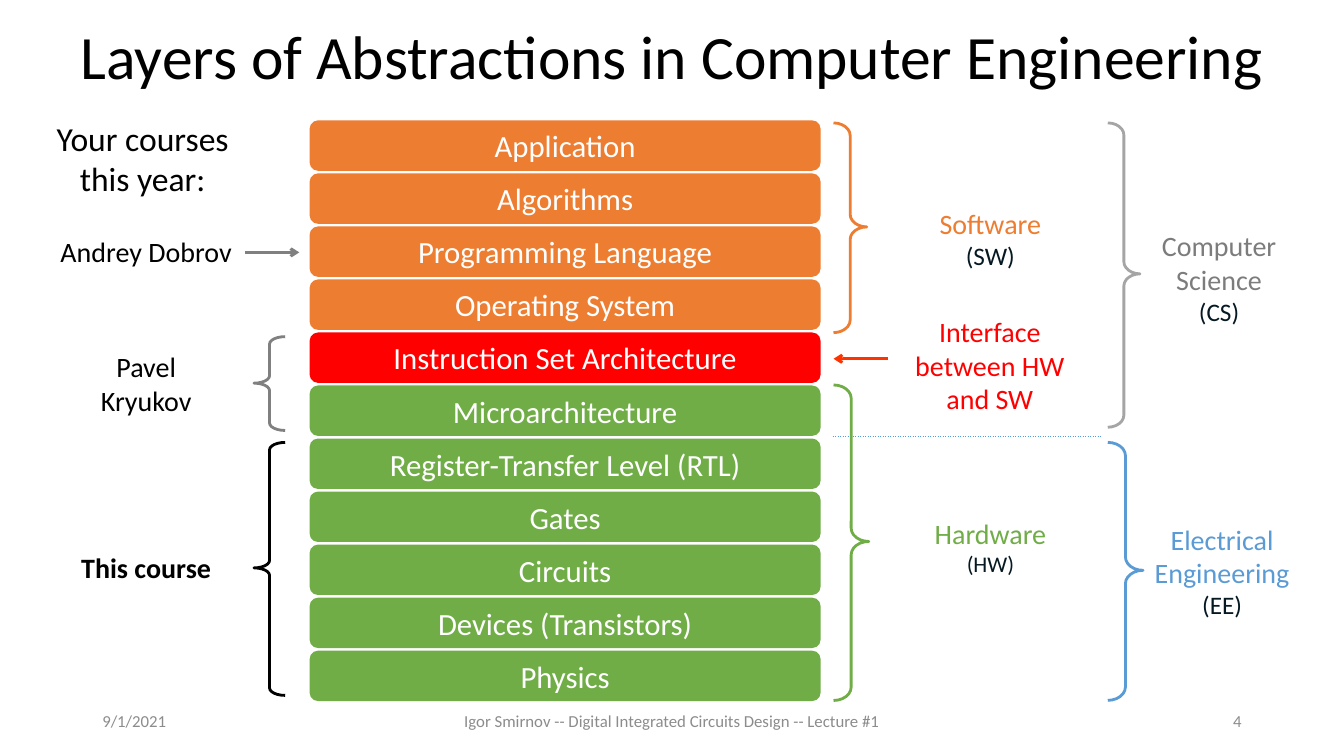
import pptx
import pptx.dml.color
import pptx.enum.dml
import pptx.enum.shapes
import pptx.enum.text
import pptx.oxml
import pptx.oxml.ns
import pptx.util

Pt = pptx.util.Pt
MSO = pptx.enum.shapes.MSO_SHAPE
ALIGN = pptx.enum.text.PP_ALIGN
MIDDLE = pptx.enum.text.MSO_ANCHOR.MIDDLE

ORANGE, RED, GREEN, BLUE = "ED7D31", "FF0000", "70AD47", "5B9BD5"
BLACK, WHITE, GRAY, INK = "000000", "FFFFFF", "808080", "061922"
SILVER, SLATE, FOOTER = "A5A5A5", "7C7C7C", "8C8C8C"


def rgb(value):
    return pptx.dml.color.RGBColor.from_string(value)


class Deck:
    font = "Calibri"
    line_width = 2

    def __init__(self, width, height):
        self.prs = pptx.Presentation()
        self.prs.slide_width = Pt(width)
        self.prs.slide_height = Pt(height)
        self.slide = self.prs.slides.add_slide(self.prs.slide_layouts[5])

    def format_run(self, r, size, color, bold=False):
        r.font.name = self.font
        r.font.size = Pt(size)
        r.font.bold = bold
        r.font.color.rgb = rgb(color)

    def title(self, text, x, y, w, h):
        sp = self.slide.shapes.title
        sp.left, sp.top, sp.width, sp.height = Pt(x), Pt(y), Pt(w), Pt(h)
        tf = sp.text_frame
        tf.text = text
        tf.vertical_anchor = MIDDLE
        p = tf.paragraphs[0]
        p.alignment = ALIGN.CENTER
        p.line_spacing = 0.9
        self.format_run(p.runs[0], 44, BLACK)

    def text(self, paragraphs, x, y, w, h, align=ALIGN.CENTER, anchor=None, bold=False):
        tf = self.slide.shapes.add_textbox(Pt(x), Pt(y), Pt(w), Pt(h)).text_frame
        tf.word_wrap = True
        tf.vertical_anchor = anchor
        for i, parts in enumerate(paragraphs):
            p = tf.add_paragraph() if i else tf.paragraphs[0]
            p.alignment = align
            for text, size, color in parts:
                for j, row in enumerate(text.split("\n")):
                    if j:
                        p.add_line_break()
                    r = p.add_run()
                    r.text = row
                    self.format_run(r, size, color, bold)

    def box(self, text, fill, x, y, w, h):
        sp = self.slide.shapes.add_shape(MSO.ROUNDED_RECTANGLE, Pt(x), Pt(y), Pt(w), Pt(h))
        sp.shadow.inherit = False
        sp.fill.solid()
        sp.fill.fore_color.rgb = rgb(fill)
        sp.line.fill.background()
        tf = sp.text_frame
        tf.text = text
        tf.word_wrap = False
        tf.vertical_anchor = MIDDLE
        p = tf.paragraphs[0]
        p.alignment = ALIGN.CENTER
        self.format_run(p.runs[0], 22, WHITE)

    def brace(self, kind, color, curve, x, y, w, h):
        sp = self.slide.shapes.add_shape(kind, Pt(x), Pt(y), Pt(w), Pt(h))
        sp.shadow.inherit = False
        sp.fill.background()
        sp.line.color.rgb = rgb(color)
        sp.line.width = Pt(self.line_width)
        sp.adjustments[0] = curve
        sp.adjustments[1] = 0.496

    def line(self, color, x1, x2, y):
        straight = pptx.enum.shapes.MSO_CONNECTOR.STRAIGHT
        sp = self.slide.shapes.add_connector(straight, Pt(x1), Pt(y), Pt(x2), Pt(y))
        sp.line.color.rgb = rgb(color)
        sp.line.width = Pt(self.line_width)
        effects = pptx.oxml.parse_xml("<a:effectLst %s/>" % pptx.oxml.ns.nsdecls("a"))
        sp._element.spPr.append(effects)
        return sp

    def divider(self, color, x1, x2, y):
        sp = self.line(color, x1, x2, y)
        sp.line.width = Pt(0.25)
        sp.line.dash_style = pptx.enum.dml.MSO_LINE.DASH

    def arrow(self, color, x1, x2, y):
        sp = self.line(color, x1, x2, y)
        head = pptx.oxml.parse_xml('<a:tailEnd %s type="arrow"/>' % pptx.oxml.ns.nsdecls("a"))
        sp.line._get_or_add_ln().append(head)


def main():
    s = Deck(960, 540)
    s.divider(BLUE, 594.7, 786.2, 311.8)
    s.title("Layers of Abstractions in Computer Engineering", 46, 0, 868.5, 85)

    footers = [
        ("9/1/2021", 66, 216, ALIGN.LEFT),
        ("Igor Smirnov -- Digital Integrated Circuits Design -- Lecture #1", 297.5, 365, ALIGN.CENTER),
        ("4", 678, 216, ALIGN.RIGHT),
    ]
    for text, x, w, align in footers:
        s.text([[(text, 12, FOOTER)]], x, 500.4, w, 28.8, align, MIDDLE)

    layers = [
        (ORANGE, ["Application", "Algorithms", "Programming Language", "Operating System"]),
        (RED, ["Instruction Set Architecture"]),
        (GREEN, ["Microarchitecture", "Register-Transfer Level (RTL)", "Gates",
                 "Circuits", "Devices (Transistors)", "Physics"]),
    ]
    stack = [(name, color) for color, names in layers for name in names]
    for i, (name, color) in enumerate(stack):
        s.box(name, color, 221.2, 86 + 37.88 * i, 365, 36)

    braces = [
        (MSO.RIGHT_BRACE, GREEN, 0.378, 595.4, 275, 25.2, 225.4),
        (MSO.RIGHT_BRACE, ORANGE, 0.378, 595.4, 87.8, 23.8, 149.8),
        (MSO.RIGHT_BRACE, SILVER, 0.378, 791.3, 87.8, 23, 217.4),
        (MSO.RIGHT_BRACE, BLUE, 0.378, 791.3, 316, 25.2, 184.3),
        (MSO.LEFT_BRACE, GRAY, 0.238, 181.4, 240.5, 22.3, 67),
        (MSO.LEFT_BRACE, BLACK, 0.238, 181.4, 316, 22.3, 180.7),
    ]
    for brace in braces:
        s.brace(*brace)

    labels = [
        ([[("Hardware", 20, GREEN), (" ", 16, GREEN), ("(HW)", 16, INK)]], 650.2, 365.5, 114.5, 44.6),
        ([[("Software ", 20, ORANGE), ("(SW)", 18, INK)]], 650.9, 144, 113, 46.8),
        ([[("Interface between HW and SW", 20, RED)]], 640.8, 221.2, 132.5, 70.6),
        ([[("Computer Science", 20, SLATE)], [("(CS)", 18, INK)]], 814.3, 159.8, 113, 77.8),
        ([[("Electrical Engineering", 20, BLUE)], [("(EE)", 18, INK)]], 816.5, 369.4, 113, 77.8),
        ([[("Pavel\nKryukov", 20, BLACK)]], 27.4, 246.2, 154, 55.4),
        ([[("Andrey Dobrov", 20, BLACK)]], 14.4, 163.7, 180, 31.7),
        ([[("Your courses this year:", 24, BLACK)]], 14.4, 80.6, 175, 65.5),
    ]
    for label in labels:
        s.text(*label)
    s.text([[("This course", 20, BLACK)]], 27.4, 389.5, 154, 31.7, bold=True)

    s.arrow("FF3300", 634.3, 595.4, 256.3)
    s.arrow(GRAY, 175, 213.8, 180.3)
    s.prs.save("out.pptx")


if __name__ == "__main__":
    main()
